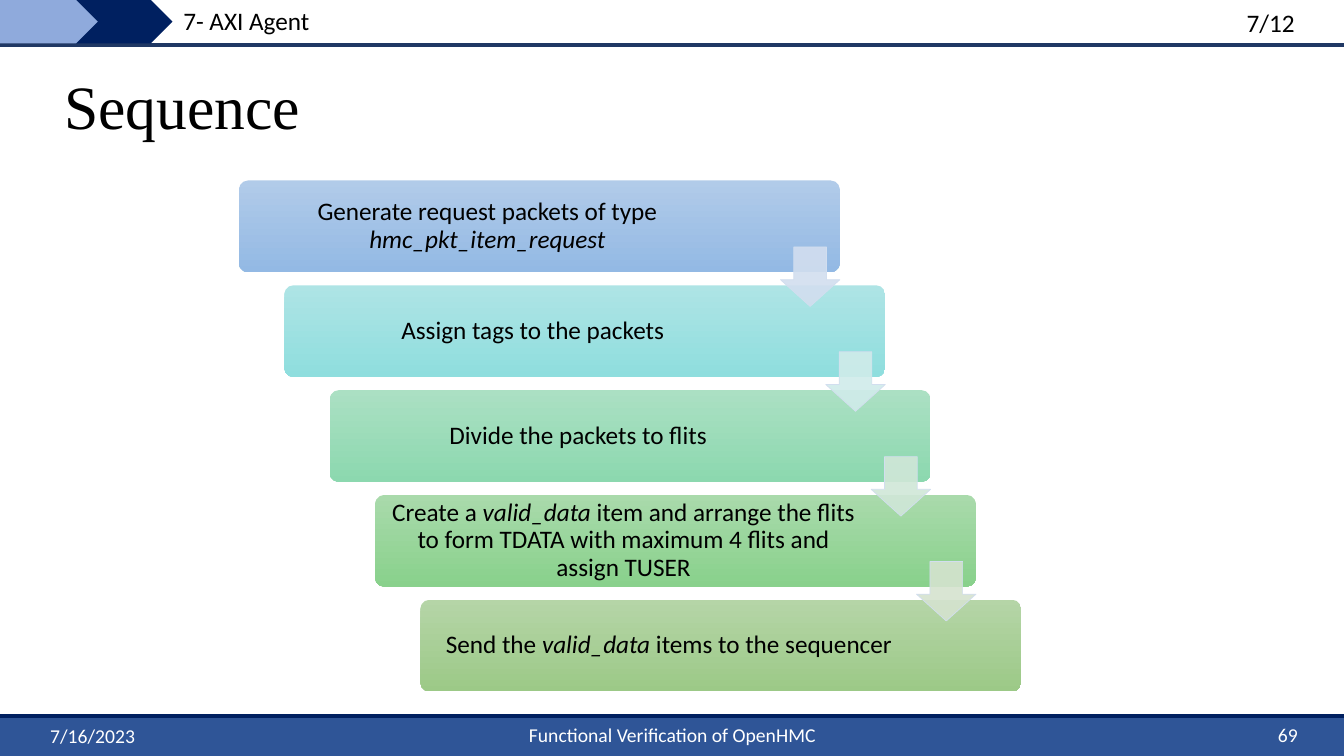
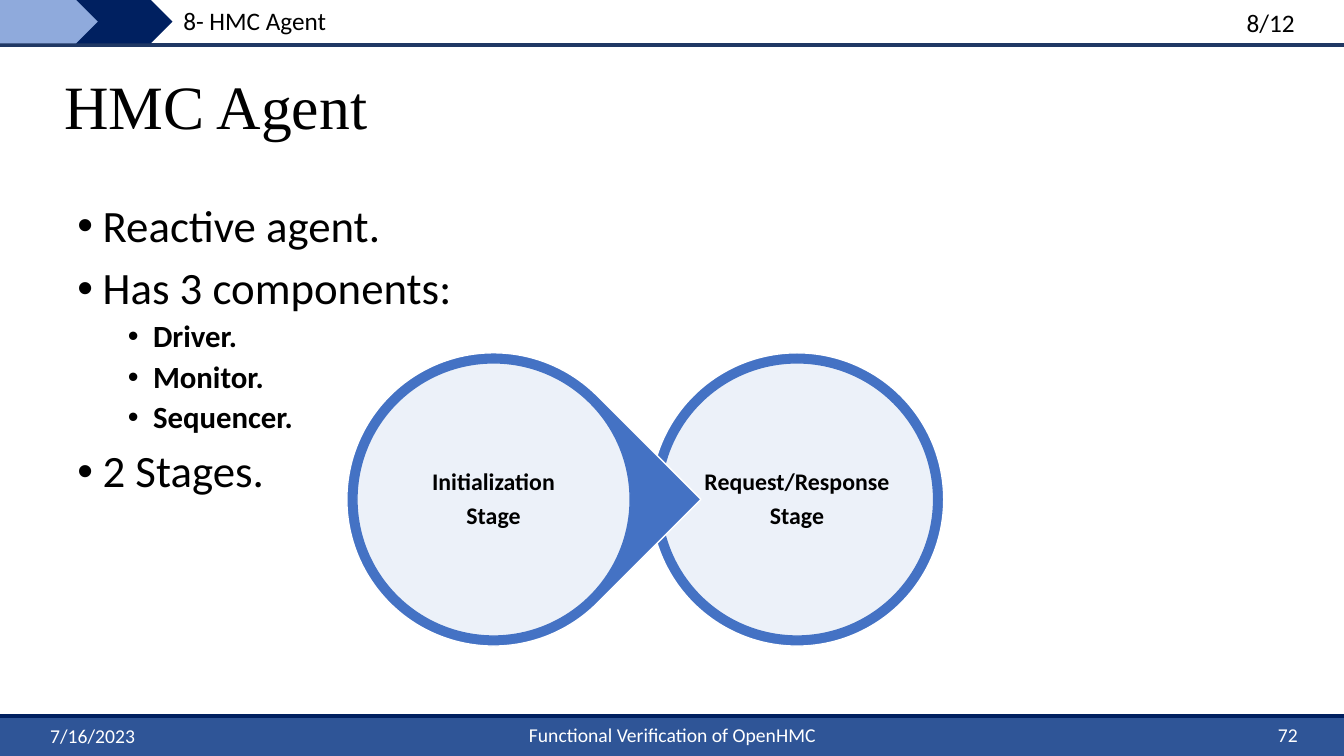
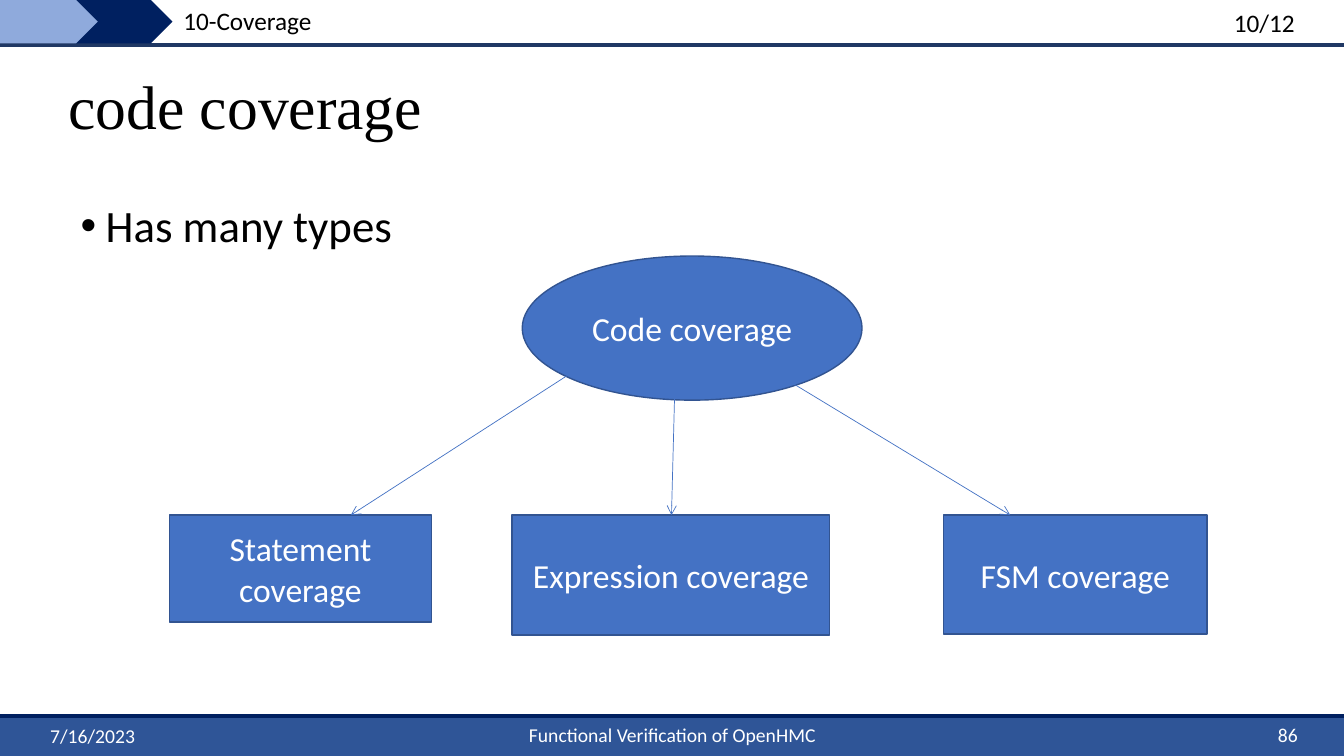
from dataclasses import dataclass
from typing import Optional

from lxml.etree import SubElement
from pptx import Presentation
from pptx.dml.color import RGBColor
from pptx.enum.shapes import MSO_CONNECTOR as Connector, MSO_SHAPE as Shape
from pptx.enum.text import MSO_ANCHOR as Anchor, PP_ALIGN as Align
from pptx.oxml.ns import qn
from pptx.util import Inches, Pt


@dataclass(frozen=True)
class Theme:
    body_font: str = "Calibri"
    title_font: str = "Times New Roman"
    black: str = "000000"
    white: str = "FFFFFF"
    navy: str = "002060"
    header_rule: str = "203864"
    band: str = "2F5597"
    light_blue: str = "8FAADC"
    blue: str = "4472C4"
    node_edge: str = "325491"
    arrow_edge: str = "D2DEEF"
    title_size: int = 44
    bullet_size: int = 32
    sub_bullet_size: int = 22
    node_size: int = 24
    text_size: int = 18
    stage_size: int = 17
    footer_size: int = 14


THEME = Theme()
SLIDE_W, SLIDE_H = 13.33, 7.5


@dataclass(frozen=True)
class Box:
    left: float
    top: float
    width: float
    height: float

    def lengths(self) -> tuple:
        return tuple(Inches(v) for v in (self.left, self.top, self.width, self.height))

    def inset(self, gap: float) -> "Box":
        return Box(self.left + gap, self.top + gap,
                   self.width - 2 * gap, self.height - 2 * gap)


@dataclass(frozen=True)
class Style:
    size: int
    color: str = THEME.black
    font: str = THEME.body_font
    bold: bool = False
    align: Align = Align.LEFT
    anchor: Anchor = Anchor.MIDDLE
    line_spacing: float = 1.0
    space_after: float = 0
    insets: tuple = (0.1, 0.05, 0.1, 0.05)


@dataclass(frozen=True)
class Page:
    section: str
    progress: str
    title: str
    number: str
    left: float = 0.54


@dataclass(frozen=True)
class Step:
    text: str  # parts between asterisks are italic
    top_color: str
    bottom_color: str
    arrow_color: Optional[str] = None


@dataclass(frozen=True)
class Bullet:
    text: str
    level: int = 0


@dataclass(frozen=True)
class Node:
    text: str
    box: Box
    kind: Shape = Shape.RECTANGLE


@dataclass(frozen=True)
class Link:
    start: tuple
    end: tuple


# Text styles
FOOTER = Style(THEME.footer_size, THEME.white)
FOOTER_CENTER = Style(THEME.footer_size, THEME.white, align=Align.CENTER)
FOOTER_RIGHT = Style(THEME.footer_size, THEME.white, align=Align.RIGHT)
SECTION = Style(THEME.text_size, anchor=Anchor.TOP, line_spacing=0.9)
PROGRESS = Style(THEME.text_size, align=Align.RIGHT, anchor=Anchor.TOP, line_spacing=0.9)
TITLE = Style(THEME.title_size, font=THEME.title_font, line_spacing=0.9)
STEP = Style(THEME.text_size, align=Align.CENTER, line_spacing=0.9,
             insets=(0.07, 0.07, 1.1, 0.07))
STAGE = Style(THEME.stage_size, bold=True, align=Align.CENTER, line_spacing=0.9,
              space_after=6, insets=(0, 0, 0, 0))
NODE = Style(THEME.node_size, THEME.white, align=Align.CENTER)
BULLETS = (Style(THEME.bullet_size, anchor=Anchor.TOP, line_spacing=0.9),
           Style(THEME.sub_bullet_size, bold=True, anchor=Anchor.TOP, line_spacing=0.9))


# Drawing helpers
def rgb(color: str) -> RGBColor:
    return RGBColor.from_string(color)


def setup_frame(frame, style: Style) -> None:
    frame.word_wrap = True
    frame.vertical_anchor = style.anchor
    (frame.margin_left, frame.margin_top,
     frame.margin_right, frame.margin_bottom) = map(Inches, style.insets)


def format_paragraph(paragraph, style: Style) -> None:
    paragraph.alignment = style.align
    paragraph.line_spacing = style.line_spacing
    paragraph.space_after = Pt(style.space_after)
    for run in paragraph.runs:
        run.font.name = style.font
        run.font.size = Pt(style.size)
        run.font.bold = style.bold
        run.font.color.rgb = rgb(style.color)


def write(frame, text: str, style: Style) -> None:
    setup_frame(frame, style)
    frame.text = text
    for paragraph in frame.paragraphs:
        format_paragraph(paragraph, style)


def write_mixed(frame, text: str, style: Style) -> None:
    """Write one paragraph whose parts between asterisks are italic."""
    setup_frame(frame, style)
    paragraph = frame.paragraphs[0]
    for index, part in enumerate(text.split("*")):
        if part:
            run = paragraph.add_run()
            run.text = part
            run.font.italic = index % 2 == 1
    format_paragraph(paragraph, style)


def add_label(slide, box: Box, text: str, style: Style) -> None:
    write(slide.shapes.add_textbox(*box.lengths()).text_frame, text, style)


def add_block(slide, kind: Shape, box: Box, fill: str, edge: Optional[str] = None,
              edge_width: float = 1, opacity: int = 100):
    block = slide.shapes.add_shape(kind, *box.lengths())
    block.shadow.inherit = False
    block.fill.solid()
    block.fill.fore_color.rgb = rgb(fill)
    if opacity < 100:
        color = block._element.spPr.find(qn("a:solidFill")).find(qn("a:srgbClr"))
        SubElement(color, qn("a:alpha"), val=str(opacity * 1000))
    if edge:
        block.line.color.rgb = rgb(edge)
        block.line.width = Pt(edge_width)
    else:
        block.line.fill.background()
    return block


def add_line(slide, start: tuple, end: tuple, color: str, width: float,
             arrow: bool = False) -> None:
    line = slide.shapes.add_connector(
        Connector.STRAIGHT, *(Inches(v) for v in (*start, *end)))
    line.line.color.rgb = rgb(color)
    line.line.width = Pt(width)
    properties = line._element.spPr
    if arrow:
        SubElement(properties.find(qn("a:ln")), qn("a:tailEnd"), type="arrow")
    SubElement(properties, qn("a:effectLst"))


def add_bullets(slide, left: float, bullets: list[Bullet]) -> None:
    frame = slide.shapes.add_textbox(*Box(left, 1.97, 11.08, 4.89).lengths()).text_frame
    setup_frame(frame, BULLETS[0])
    for index, bullet in enumerate(bullets):
        paragraph = frame.add_paragraph() if index else frame.paragraphs[0]
        paragraph.text = bullet.text
        paragraph.level = bullet.level
        properties = paragraph._p.get_or_add_pPr()
        properties.set("marL", str(Inches(0.25 + 0.5 * bullet.level)))
        properties.set("indent", str(-Inches(0.25)))
        SubElement(properties, qn("a:buFont"), typeface="Arial")
        SubElement(properties, qn("a:buChar"), char="•")
        format_paragraph(paragraph, BULLETS[bullet.level])
        if index:
            paragraph.space_before = Pt(5 if bullet.level else 10)


# Shared bands, section marker, title and footer
def add_page(deck, page: Page):
    slide = deck.slides.add_slide(deck.slide_layouts[6])
    add_block(slide, Shape.RECTANGLE, Box(0, 7.09, SLIDE_W, 0.41), THEME.band)
    for y, color in ((7.1, THEME.navy), (0.45, THEME.header_rule)):
        add_line(slide, (0, y), (SLIDE_W, y), color, 3)
    add_block(slide, Shape.CHEVRON, Box(0.74, 0, 0.97, 0.43), THEME.navy)
    add_block(slide, Shape.PENTAGON, Box(0, 0, 0.97, 0.43), THEME.light_blue)
    add_label(slide, Box(page.left, 0.57, 11.5, 1.04), page.title, TITLE)
    add_label(slide, Box(0.4, 7.1, 3, 0.4), "7/16/2023", FOOTER)
    add_label(slide, Box(4.42, 7.09, 4.5, 0.4),
              "Functional Verification of OpenHMC", FOOTER_CENTER)
    add_label(slide, Box(9.97, 7.09, 3, 0.4), page.number, FOOTER_RIGHT)
    add_label(slide, Box(1.72, 0.04, 3.17, 0.36), page.section, SECTION)
    add_label(slide, Box(11.94, 0.06, 1, 0.34), page.progress, PROGRESS)
    return slide


# Sequence: staircase of steps
STEPS = [
    Step("Generate request packets of type *hmc_pkt_item_request*",
         "B1CBE9", "93B9E4", "D2DEEF"),
    Step("Assign tags to the packets", "AEE4E5", "8FDEDE", "D0ECEA"),
    Step("Divide the packets to flits", "ABE0C3", "8CD8AF", "D0E7D8"),
    Step("Create a *valid_data* item and arrange the flits to form TDATA "
         "with maximum 4 flits and assign TUSER", "A9DAAB", "89D18C", "D5E3CF"),
    Step("Send the *valid_data* items to the sequencer", "B5D5A7", "9CC987"),
]
STEP_DX, STEP_DY = 0.45, 1.04


def add_step(slide, index: int, step: Step) -> None:
    box = Box(2.37 + index * STEP_DX, 1.79 + index * STEP_DY, 5.96, 0.91)
    block = add_block(slide, Shape.ROUNDED_RECTANGLE, box, step.top_color)
    block.adjustments[0] = 0.1
    block.fill.gradient()
    block.fill.gradient_angle = 270
    for stop, color in zip(block.fill.gradient_stops, (step.top_color, step.bottom_color)):
        stop.color.rgb = rgb(color)
    write_mixed(block.text_frame, step.text, STEP)


def add_step_arrow(slide, index: int, color: str) -> None:
    box = Box(7.74 + index * STEP_DX, 2.45 + index * STEP_DY, 0.59, 0.59)
    arrow = add_block(slide, Shape.DOWN_ARROW, box, color, THEME.arrow_edge, 0.5, 90)
    arrow.adjustments[0] = 0.55
    arrow.adjustments[1] = 0.45


def build_sequence(deck) -> None:
    slide = add_page(deck, Page("7- AXI Agent", "7/12", "Sequence", "69"))
    for index, step in enumerate(STEPS):
        add_step(slide, index, step)
    for index, step in enumerate(STEPS):
        if step.arrow_color:
            add_step_arrow(slide, index, step.arrow_color)


# HMC agent: bullets and two linked stages
def add_stage(slide, kind: Shape, left: float, text: str, rotation: float = 0) -> None:
    box = Box(left, 3.5, 2.91, 2.91)
    add_block(slide, kind, box, THEME.blue, THEME.white).rotation = rotation
    disc = add_block(slide, Shape.OVAL, box.inset(0.1), THEME.white, THEME.blue, opacity=90)
    write(disc.text_frame, text, STAGE)


def build_agent(deck) -> None:
    page = Page("8- HMC Agent", "8/12", "HMC Agent", "72")
    slide = add_page(deck, page)
    add_bullets(slide, page.left + 0.13, [
        Bullet("Reactive agent."),
        Bullet("Has 3 components:"),
        Bullet("Driver.", 1),
        Bullet("Monitor.", 1),
        Bullet("Sequencer.", 1),
        Bullet("2 Stages."),
    ])
    add_stage(slide, Shape.OVAL, 6.45, "Request/Response\nStage")
    add_stage(slide, Shape.TEAR, 3.44, "Initialization\nStage", 45)


# Code coverage: tree of types
NODES = [
    Node("Code coverage", Box(5.18, 2.54, 3.37, 1.43), Shape.OVAL),
    Node("Statement coverage", Box(1.68, 5.11, 2.6, 1.06)),
    Node("Expression coverage", Box(5.08, 5.11, 3.15, 1.19)),
    Node("FSM coverage", Box(9.36, 5.11, 2.61, 1.18)),
]
LINKS = [
    Link((5.62, 3.73), (3.48, 5.11)),
    Link((6.69, 3.96), (6.66, 5.11)),
    Link((7.61, 3.65), (10.02, 5.11)),
]


def build_coverage(deck) -> None:
    page = Page("10-Coverage", "10/12", "code coverage", "86", left=0.58)
    slide = add_page(deck, page)
    add_bullets(slide, page.left + 0.12, [Bullet("Has many types")])
    for node in NODES:
        block = add_block(slide, node.kind, node.box, THEME.blue, THEME.node_edge)
        write(block.text_frame, node.text, NODE)
    for link in LINKS:
        add_line(slide, link.start, link.end, THEME.blue, 0.5, arrow=True)


def main() -> None:
    deck = Presentation()
    deck.slide_width, deck.slide_height = Inches(SLIDE_W), Inches(SLIDE_H)
    for build in (build_sequence, build_agent, build_coverage):
        build(deck)
    deck.save("out.pptx")


if __name__ == "__main__":
    main()
